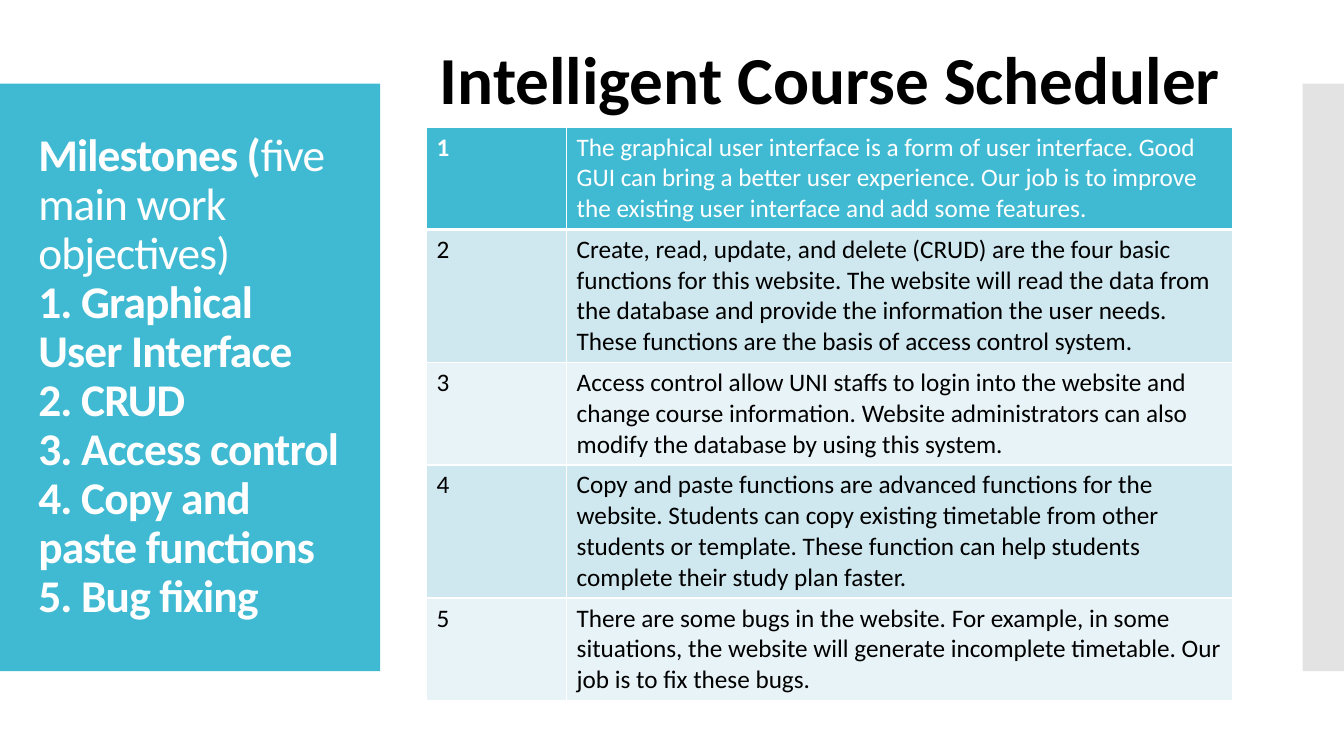
from lxml import etree
from pptx import Presentation
from pptx.dml.color import RGBColor
from pptx.enum.shapes import MSO_SHAPE
from pptx.enum.text import MSO_ANCHOR, MSO_AUTO_SIZE, PP_ALIGN
from pptx.oxml.ns import qn
from pptx.util import Inches, Pt

RECT = MSO_SHAPE.RECTANGLE
MIDDLE = MSO_ANCHOR.MIDDLE
NO_FIT = MSO_AUTO_SIZE.NONE
LEFT, CENTER = PP_ALIGN.LEFT, PP_ALIGN.CENTER

WHITE = RGBColor(0xFF, 0xFF, 0xFF)
BLACK = RGBColor(0, 0, 0)
TEAL = RGBColor(0x40, 0xBA, 0xD2)
GREY = RGBColor(0xC8, 0xC8, 0xC8)
BANDS = RGBColor(0xE8, 0xF3, 0xF7), RGBColor(0xCF, 0xE7, 0xEE)

TITLE_RUNS = [
    ("Milestones (", True),
    ("five main work objectives)\v", False),
    ("1. Graphical User Interface\v2. CRUD\v3. Access control\v"
     "4. Copy and paste functions\v5. Bug fixing", True),
]
MILESTONES = [
    ("The graphical user interface is a form of user interface. Good GUI can bring a better "
     "user experience. Our job is to improve the existing user interface and add some features.", 1.01),
    ("Create, read, update, and delete (CRUD) are the four basic functions for this website. "
     "The website will read the data from the database and provide the information the user needs. "
     "These functions are the basis of access control system.", 1.32),
    ("Access control allow UNI staffs to login into the website and change course information. "
     "Website administrators can also modify the database by using this system.", 1.01),
    ("Copy and paste functions are advanced functions for the website. Students can copy existing "
     "timetable from other students or template. These function can help students complete their "
     "study plan faster.", 1.32),
    ("There are some bugs in the website. For example, in some situations, the website will "
     "generate incomplete timetable. Our job is to fix these bugs.", 1.01),
]


class SlideBuilder:
    font = "Calibri"

    def __init__(self, slide):
        self.s = slide

    def style(self, font, size, color, bold=None):
        font.name, font.size, font.bold = self.font, Pt(size), bold
        font.color.rgb = color

    def panel(self, left, width, color, alpha=None):
        sp = self.s.shapes.add_shape(RECT, Inches(left), Inches(0.83), Inches(width), Inches(5.83))
        sp.shadow.inherit = False
        sp.fill.solid()
        sp.fill.fore_color.rgb = color
        sp.line.fill.background()
        if alpha:
            clr = sp.fill._xPr.find(".//" + qn("a:srgbClr"))
            etree.SubElement(clr, qn("a:alpha"), val=str(alpha * 1000))

    def title(self, left, top, width, height, runs):
        sp = self.s.shapes.title
        sp.left, sp.top, sp.width, sp.height = map(Inches, (left, top, width, height))
        tf = sp.text_frame
        tf.word_wrap, tf.auto_size, tf.vertical_anchor = True, NO_FIT, MIDDLE
        p = tf.paragraphs[0]
        p.alignment, p.line_spacing = LEFT, 0.9
        for text, bold in runs:
            for i, line in enumerate(text.split("\v")):
                if i:
                    p.add_line_break()
                if line:
                    r = p.add_run()
                    r.text = line
                    self.style(r.font, 32.4, WHITE, bold)
                    r.font._element.set("spc", "-60")

    def heading(self, left, top, width, height, text):
        sp = self.s.shapes.add_textbox(Inches(left), Inches(top), Inches(width), Inches(height))
        tf = sp.text_frame
        tf.word_wrap = True
        p = tf.paragraphs[0]
        p.text, p.alignment = text, CENTER
        self.style(p.font, 48, BLACK, True)

    def cell(self, cell, text, fill, color, bold, bottom):
        tc_pr = cell._tc.get_or_add_tcPr()
        for side, width in (("L", 1), ("R", 1), ("T", 1), ("B", bottom)):
            ln = etree.SubElement(tc_pr, qn("a:ln" + side), w=str(Pt(width)))
            solid = etree.SubElement(ln, qn("a:solidFill"))
            etree.SubElement(solid, qn("a:srgbClr"), val=str(WHITE))
        cell.fill.solid()
        cell.fill.fore_color.rgb = fill
        p = cell.text_frame.paragraphs[0]
        p.text = text
        self.style(p.font, 18, color, bold)

    def table(self, left, top, widths, rows):
        height = sum(h for _, h in rows)
        table = self.s.shapes.add_table(len(rows), len(widths), Inches(left), Inches(top),
                                        Inches(sum(widths)), Inches(height)).table
        for column, width in zip(table.columns, widths):
            column.width = Inches(width)
        for i, (text, row_height) in enumerate(rows):
            table.rows[i].height = Inches(row_height)
            head = i == 0
            fill, color = (TEAL, WHITE) if head else (BANDS[i % 2], BLACK)
            for j, value in enumerate((str(i + 1), text)):
                self.cell(table.cell(i, j), value, fill, color, head and j == 0, 3 if head else 1)


def main():
    prs = Presentation()
    prs.slide_width, prs.slide_height = Inches(13.33), Inches(7.5)
    b = SlideBuilder(prs.slides.add_slide(prs.slide_layouts[5]))
    b.panel(0, 3.77, TEAL)
    b.panel(12.92, 0.41, GREY, alpha=50)
    b.title(0.28, 1.23, 3.22, 5.03, TITLE_RUNS)
    tree = b.s.shapes._spTree
    tree.append(b.s.shapes.title._element)
    b.table(4.23, 1.26, (1.39, 6.61), MILESTONES)
    b.heading(3.46, 0.32, 9.55, 0.91, "Intelligent Course Scheduler")
    prs.save("out.pptx")


if __name__ == "__main__":
    main()
